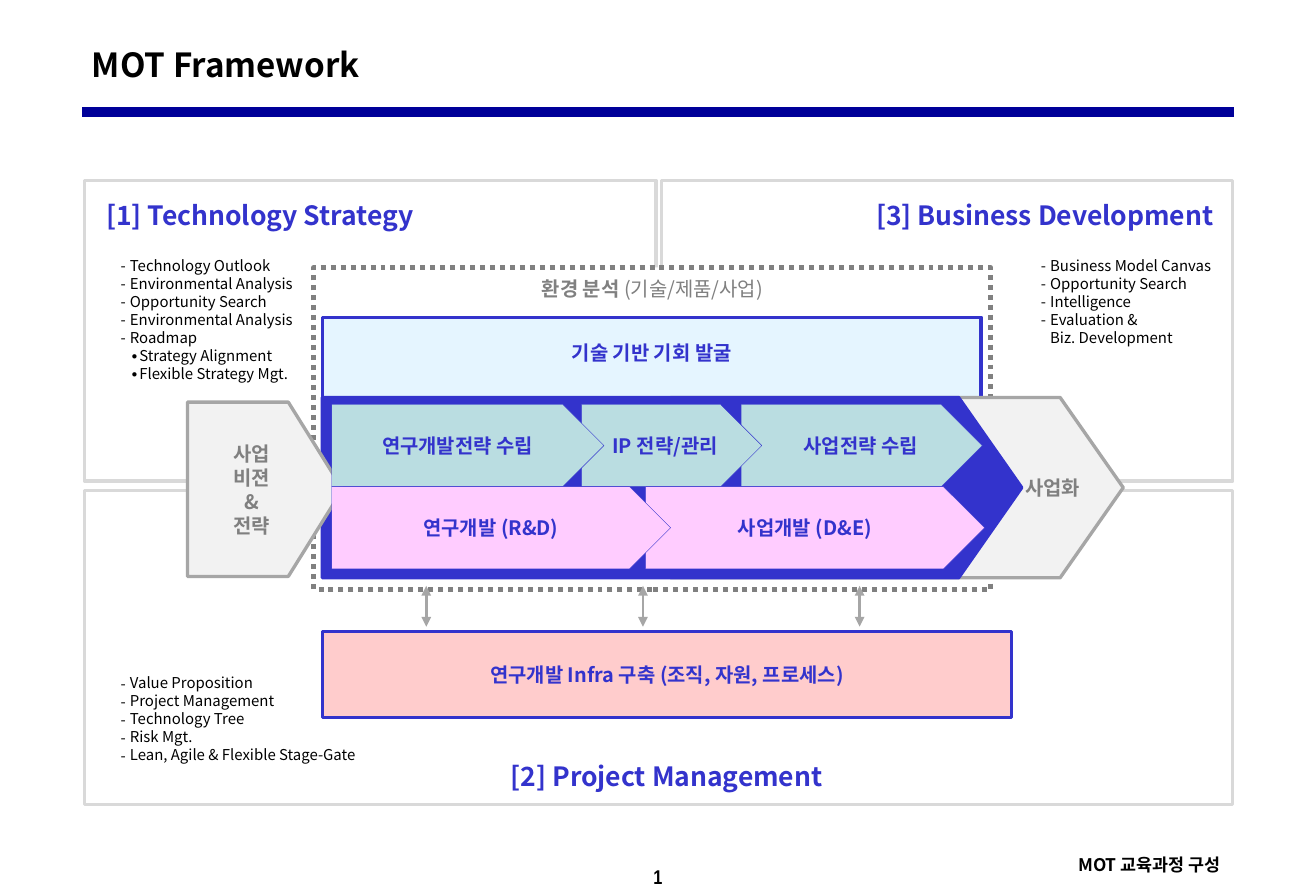
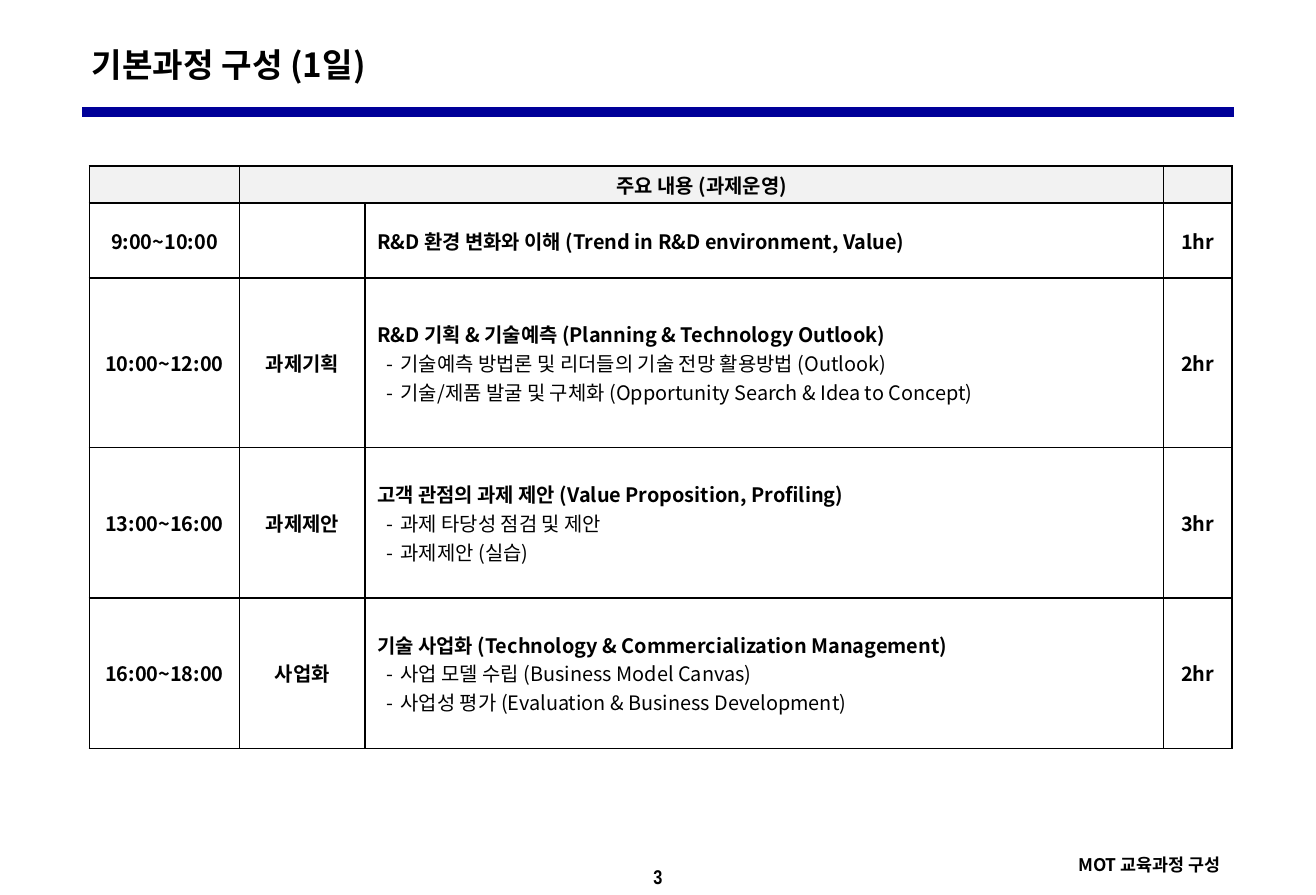
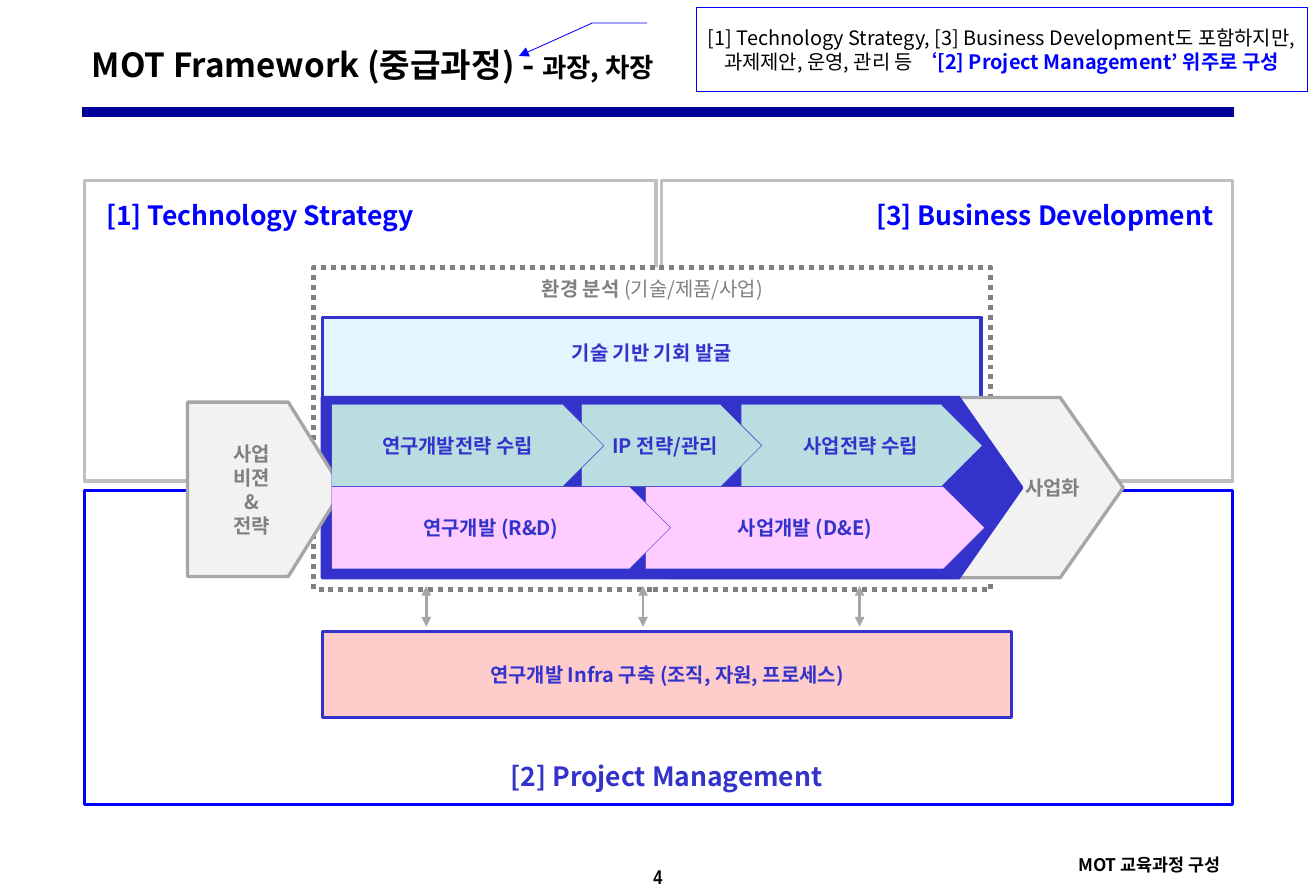
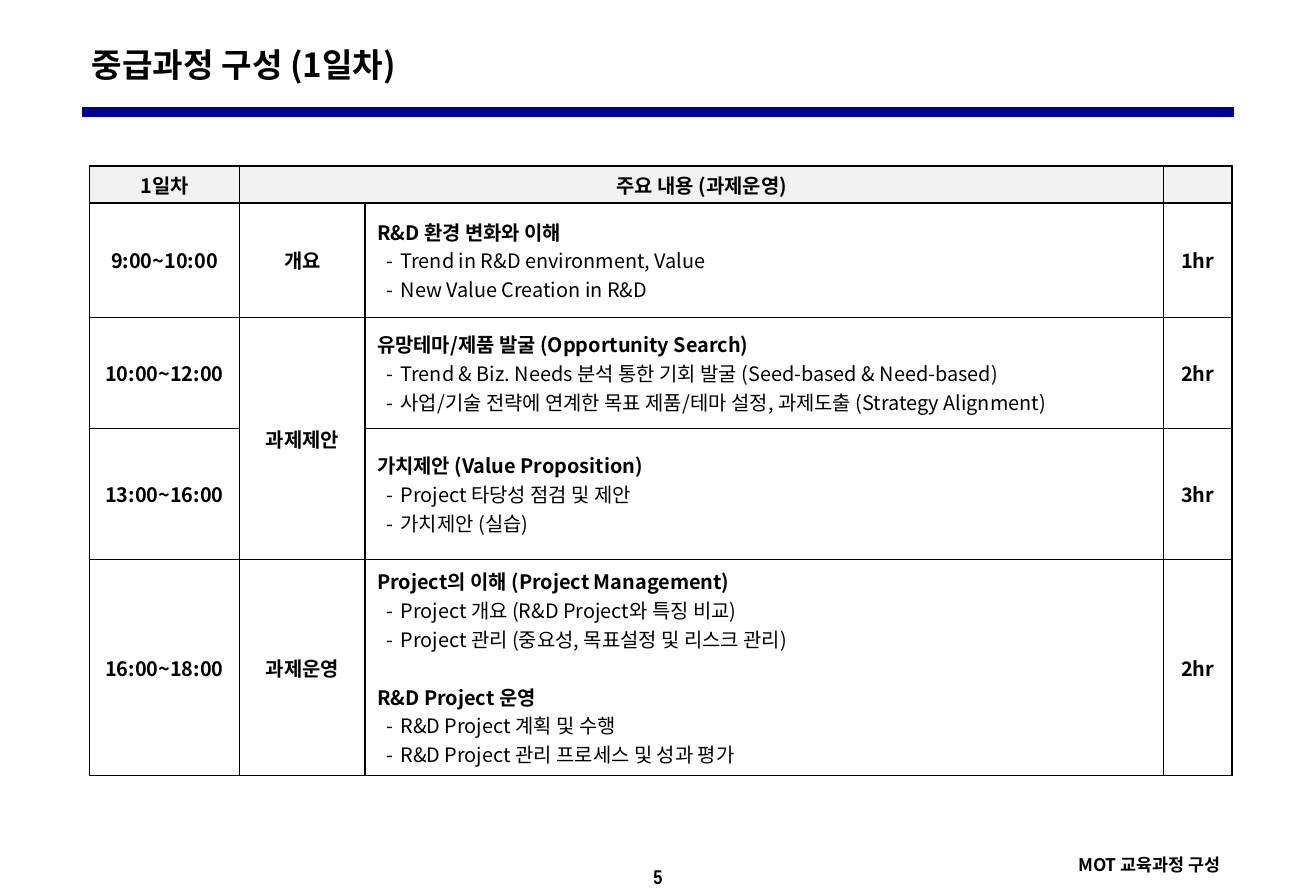
import dataclasses

import lxml.etree
import pptx
import pptx.dml.color
import pptx.enum.dml
import pptx.enum.shapes
import pptx.enum.text
import pptx.oxml.ns
import pptx.util

Cm, Pt = pptx.util.Cm, pptx.util.Pt
RGB = pptx.dml.color.RGBColor.from_string
SHAPE = pptx.enum.shapes.MSO_SHAPE
LINE = pptx.enum.shapes.MSO_CONNECTOR.STRAIGHT
ALIGN = pptx.enum.text.PP_ALIGN
ANCHOR = pptx.enum.text.MSO_ANCHOR
qn = pptx.oxml.ns.qn
SubElement = lxml.etree.SubElement


@dataclasses.dataclass(frozen=True)
class Theme:
    font: str = "Noto Sans CJK KR"
    number_font: str = "Arial Narrow"
    title_size: float = 20
    heading_size: float = 16
    text_size: float = 12
    footer_size: float = 10.5
    list_size: float = 9
    black: str = "000000"
    white: str = "FFFFFF"
    band: str = "000099"
    blue: str = "3333CC"
    focus: str = "0000FF"
    gray_text: str = "808080"
    gray_line: str = "A6A6A6"
    gray_fill: str = "F2F2F2"
    sky: str = "CCECFF"
    teal: str = "BADDE1"
    pink: str = "FFCCFF"
    rose: str = "FFCCCC"


theme = Theme()


def write(frame, lines, size, color=theme.black, bold=False, align=ALIGN.LEFT,
          spacing=1.0, font=theme.font):
    """Fill a text frame; a line given as a tuple becomes several runs."""
    frame.word_wrap = True
    for index, line in enumerate(lines):
        paragraph = frame.add_paragraph() if index else frame.paragraphs[0]
        pieces = (line,) if isinstance(line, str) else line
        paragraph.text = pieces[0]
        for piece in pieces[1:]:
            paragraph.add_run().text = piece
        paragraph.alignment = align
        paragraph.line_spacing = spacing
        paragraph.space_before = Pt(0)
        for run in paragraph.runs:
            run.font.size = Pt(size)
            run.font.bold = bold
            run.font.color.rgb = RGB(color)
            run.font.name = font
            SubElement(run.font._element, qn("a:ea"), typeface=font)
        if not paragraph.runs:
            SubElement(paragraph._p, qn("a:endParaRPr"), sz=str(size * 100))


def add_bullet(paragraph, char, left, hang):
    properties = paragraph._p.get_or_add_pPr()
    properties.set("marL", str(Cm(left)))
    properties.set("indent", str(-Cm(hang)))
    SubElement(properties, qn("a:buFont"), typeface=theme.font)
    SubElement(properties, qn("a:buChar"), char=char)


presentation = pptx.Presentation()
presentation.slide_width, presentation.slide_height = Cm(28), Cm(19.05)
COMPARISON, TITLE_ONLY = 4, 5

# Slides with title and page number
pages = [
    (1, ("MOT Framework",), COMPARISON),
    (3, ("기본과정 구성 (1일)",), TITLE_ONLY),
    (4, ("MOT Framework (중급과정) - ", "과장, 차장"), TITLE_ONLY),
    (5, ("중급과정 구성 (1일차)",), TITLE_ONLY),
]
slides = {}
for number, title_line, layout in pages:
    slide = presentation.slides.add_slide(presentation.slide_layouts[layout])
    slides[number] = slide
    title = slide.shapes.title
    title.left, title.top, title.width, title.height = Cm(1.7), Cm(0.81), Cm(25.6), Cm(1.12)
    title.text_frame.auto_size = pptx.enum.text.MSO_AUTO_SIZE.NONE
    title.text_frame.vertical_anchor = ANCHOR.TOP
    write(title.text_frame, [title_line], theme.title_size, bold=True)
    for run in title.text_frame.paragraphs[0].runs[1:]:
        run.font.size = Pt(theme.heading_size)
    page_number = slide.shapes.add_textbox(Cm(0), Cm(18.08), Cm(28), Cm(0.97))
    write(page_number.text_frame, [str(number)], theme.text_size, bold=True,
          align=ALIGN.CENTER, spacing=1.4, font=theme.number_font)

# Band and footer, moved to the master so that every slide shows them
opening = slides[1].shapes
band = opening.add_connector(LINE, Cm(1.75), Cm(2.39), Cm(26.26), Cm(2.39))
band.line.color.rgb = RGB(theme.band)
band.line.width = Pt(6)
SubElement(band.element.spPr, qn("a:effectLst"))
footer = opening.add_textbox(Cm(17.78), Cm(18.06), Cm(8.43), Cm(0.71))
write(footer.text_frame, ["MOT 교육과정 구성"], theme.footer_size, bold=True, align=ALIGN.RIGHT)
for part in (band, footer):
    presentation.slide_master.shapes.element.append(part.element)

# Framework diagram: preset, box, fill, line, line width, text colour, lines
RECT, PLATE = SHAPE.RECTANGLE, SHAPE.PENTAGON
gray = (theme.gray_fill, theme.gray_line, 2, theme.gray_text)
teal = (theme.teal, theme.blue, 0.25, theme.blue)
pink = (theme.pink, theme.blue, 0.25, theme.blue)
ENVIRONMENT, OPPORTUNITY, BUSINESS = "환경 분석 ", "기술 기반 기회 발굴", "사업화"
diagram = [
    (RECT, (6.68, 5.69, 14.4, 6.86), theme.white, theme.gray_text, 3, theme.gray_text,
     [(ENVIRONMENT, "(기술/제품/사업)")]),
    (RECT, (6.86, 6.76, 14.02, 2.36), theme.sky, theme.blue, 2.25, theme.blue, [OPPORTUNITY]),
    (PLATE, (14.27, 8.46, 9.63, 3.84), *gray, [BUSINESS]),
    (RECT, (6.86, 13.44, 14.66, 1.83), theme.rose, theme.blue, 2, theme.blue,
     ["연구개발 Infra 구축 (조직, 자원, 프로세스)"]),
    (PLATE, (6.86, 8.46, 14.88, 3.84), theme.blue, theme.blue, 2, theme.blue, []),
    (PLATE, (3.99, 8.56, 3.3, 3.71), *gray, ["사업", "비젼", "&", "전략"]),
    (PLATE, (15.77, 8.61, 5.13, 1.75), *teal, ["사업전략 수립"]),
    (PLATE, (12.37, 8.61, 3.84, 1.75), *teal, ["IP 전략/관리"]),
    (PLATE, (7.06, 8.61, 5.79, 1.75), *teal, ["연구개발전략 수립"]),
    (PLATE, (13.74, 10.36, 7.21, 1.75), *pink, ["사업개발 (D&E)"]),
    (PLATE, (7.06, 10.36, 7.21, 1.75), *pink, ["연구개발 (R&D)"]),
]
text_shift = {"사업전략 수립": 0.2, "IP 전략/관리": 0.08}
top_inset = {ENVIRONMENT: 0.2, OPPORTUNITY: 0.5}

# Areas: frame box, heading box, heading
areas = [
    ((1.8, 10.44, 24.43, 6.68), (10.62, 16.05, 7.8, 0.94), "[2] Project Management"),
    ((14.07, 3.84, 12.16, 6.4), (18.39, 4.11, 8.1, 0.94), "[3] Business Development"),
    ((1.8, 3.84, 12.16, 6.4), (2.01, 4.11, 7.4, 0.94), "[1] Technology Strategy"),
]
# Slide: colours of the upper frames, lower frame, upper headings
area_colors = {
    1: ("D9D9D9", "D9D9D9", theme.blue),
    4: ("BFBFBF", theme.focus, theme.focus),
}

for number, (upper_line, lower_line, upper_heading) in area_colors.items():
    shapes = slides[number].shapes

    # Area frames, then headings
    for index, (frame_box, _, _) in enumerate(areas):
        area = shapes.add_shape(RECT, *map(Cm, frame_box))
        area.shadow.inherit = False
        area.fill.solid()
        area.fill.fore_color.rgb = RGB(theme.white)
        area.line.color.rgb = RGB(upper_line if index else lower_line)
        area.line.width = Pt(2)
    for index, (_, heading_box, heading_text) in enumerate(areas):
        heading = shapes.add_textbox(*map(Cm, heading_box))
        write(heading.text_frame, [heading_text], theme.heading_size,
              upper_heading if index else theme.blue, bold=True)

    # Process blocks
    for preset, box, fill, line, width, color, lines in diagram:
        block = shapes.add_shape(preset, *map(Cm, box))
        block.shadow.inherit = False
        block.fill.solid()
        block.fill.fore_color.rgb = RGB(fill)
        block.line.color.rgb = RGB(line)
        block.line.width = Pt(width)
        if preset == PLATE and width == 2:
            block.adjustments[0] = 0.35
        if fill == theme.sky:
            sky_color = block.element.spPr.find(qn("a:solidFill"))[0]
            SubElement(sky_color, qn("a:alpha"), val="50000")
        if not lines:
            continue
        label = block.text_frame
        name = lines[0] if isinstance(lines[0], str) else lines[0][0]
        shift = text_shift.get(name, 0)
        label.margin_left, label.margin_right = Cm(0.25 + shift), Cm(0.25 - shift)
        label.vertical_anchor = ANCHOR.MIDDLE
        if name in top_inset:
            label.vertical_anchor = ANCHOR.TOP
            label.margin_top = Cm(top_inset[name])
        write(label, lines, theme.text_size, color, bold=True,
              align=ALIGN.RIGHT if name == BUSINESS else ALIGN.CENTER)
        if name == ENVIRONMENT:
            block.line.dash_style = pptx.enum.dml.MSO_LINE.ROUND_DOT
            label.paragraphs[0].runs[1].font.bold = False

    # Two-way arrows between process and infrastructure
    for index in range(3):
        x = Cm(9.07 + 4.61 * index)
        arrow = shapes.add_connector(LINE, x, Cm(12.47), x, Cm(13.34))
        arrow.line.color.rgb = RGB(theme.gray_line)
        arrow.line.width = Pt(1.5)
        for end in ("a:headEnd", "a:tailEnd"):
            SubElement(arrow.line._get_or_add_ln(), qn(end), type="triangle")
        SubElement(arrow.element.spPr, qn("a:effectLst"))

# Topic lists of the first slide: placeholder, box, (level, text)
topic_lists = [
    (1, (2.31, 5.33, 4.5, 2.95), [
        (0, "Technology Outlook"), (0, "Environmental Analysis"), (0, "Opportunity Search"),
        (0, "Environmental Analysis"), (0, "Roadmap"),
        (1, "Strategy Alignment"), (1, "Flexible Strategy Mgt.")]),
    (2, (2.31, 14.22, 6.83, 2.18), [
        (0, "Value Proposition"), (0, "Project Management"), (0, "Technology Tree"),
        (0, "Risk Mgt."), (0, "Lean, Agile & Flexible Stage-Gate")]),
    (3, (21.89, 5.33, 4.5, 2.18), [
        (0, "Business Model Canvas"), (0, "Opportunity Search"), (0, "Intelligence"),
        (0, "Evaluation &\vBiz. Development")]),
]
list_places = {place.placeholder_format.idx: place for place in slides[1].placeholders}
for index, box, topics in topic_lists:
    topic_list = list_places[index]
    topic_list.left, topic_list.top, topic_list.width, topic_list.height = map(Cm, box)
    topic_list.text_frame.auto_size = pptx.enum.text.MSO_AUTO_SIZE.NONE
    topic_list.text_frame.vertical_anchor = ANCHOR.TOP
    write(topic_list.text_frame, [text for _, text in topics], theme.list_size)
    for paragraph, (level, _) in zip(topic_list.text_frame.paragraphs, topics):
        add_bullet(paragraph, "-∙"[level], 0.2 * (level + 1), 0.2)
    opening.element.append(topic_list.element)  # in front of the frames
opening.element.remove(list_places[4].element)

# Callout on the intermediate course
callout = slides[4].shapes.add_shape(SHAPE.LINE_CALLOUT_2, Cm(14.81), Cm(0.15), Cm(13), Cm(1.8))
for index, value in enumerate((0.19, -0.08, 0.19, -0.17, 0.58, -0.29)):
    callout.adjustments[index] = value
callout.shadow.inherit = False
callout.fill.solid()
callout.fill.fore_color.rgb = RGB(theme.white)
callout.line.color.rgb = RGB(theme.focus)
callout.line.width = Pt(0.5)
SubElement(callout.line._get_or_add_ln(), qn("a:tailEnd"), type="triangle")
callout.text_frame.vertical_anchor = ANCHOR.MIDDLE
write(callout.text_frame, [
    "[1] Technology Strategy, [3] Business Development도 포함하지만,",
    ("과제제안, 운영, 관리 등 ", "‘[2] Project Management’ 위주로 구성"),
], theme.text_size, align=ALIGN.CENTER)
for paragraph in callout.text_frame.paragraphs:  # keep commas inside the box
    paragraph._p.get_or_add_pPr().set("hangingPunct", "0")
emphasis = callout.text_frame.paragraphs[1].runs[1]
emphasis.font.bold = True
emphasis.font.color.rgb = RGB(theme.focus)

# Timetables: day, then height, time, phase (None joins the one above), topics, hours
header_height = 0.79
column_widths = (3.2, 2.67, 16.99, 1.45)
timetables = {
    3: ("", [
        (1.6, "9:00~10:00", "", [
            ("R&D 환경 변화와 이해 (Trend in R&D environment, Value)", [])], "1hr"),
        (3.61, "10:00~12:00", "과제기획", [
            ("R&D 기획 & 기술예측 (Planning & Technology Outlook)", [
                "기술예측 방법론 및 리더들의 기술 전망 활용방법 (Outlook)",
                "기술/제품 발굴 및 구체화 (Opportunity Search & Idea to Concept)"])], "2hr"),
        (3.2, "13:00~16:00", "과제제안", [
            ("고객 관점의 과제 제안 (Value Proposition, Profiling)", [
                "과제 타당성 점검 및 제안", "과제제안 (실습)"])], "3hr"),
        (3.2, "16:00~18:00", "사업화", [
            ("기술 사업화 (Technology & Commercialization Management)", [
                "사업 모델 수립 (Business Model Canvas)",
                "사업성 평가 (Evaluation & Business Development)"])], "2hr"),
    ]),
    5: ("1일차", [
        (2.44, "9:00~10:00", "개요", [
            ("R&D 환경 변화와 이해", [
                "Trend in R&D environment, Value", "New Value Creation in R&D"])], "1hr"),
        (2.36, "10:00~12:00", "과제제안", [
            ("유망테마/제품 발굴 (Opportunity Search)", [
                "Trend & Biz. Needs 분석 통한 기회 발굴 (Seed-based & Need-based)",
                "사업/기술 전략에 연계한 목표 제품/테마 설정, 과제도출 (Strategy Alignment)"])],
         "2hr"),
        (2.79, "13:00~16:00", None, [
            ("가치제안 (Value Proposition)", [
                "Project 타당성 점검 및 제안", "가치제안 (실습)"])], "3hr"),
        (4.6, "16:00~18:00", "과제운영", [
            ("Project의 이해 (Project Management)", [
                "Project 개요 (R&D Project와 특징 비교)",
                "Project 관리 (중요성, 목표설정 및 리스크 관리)"]),
            ("R&D Project 운영", [
                "R&D Project 계획 및 수행",
                "R&D Project 관리 프로세스 및 성과 평가"])], "2hr"),
    ]),
}
for number, (day, sessions) in timetables.items():
    heights = [header_height] + [session[0] for session in sessions]
    timetable = slides[number].shapes.add_table(
        len(heights), len(column_widths), Cm(1.9), Cm(3.53),
        Cm(sum(column_widths)), Cm(sum(heights))).table
    timetable.first_row = timetable.horz_banding = False
    for column, width in zip(timetable.columns, column_widths):
        column.width = Cm(width)
    for row, height in zip(timetable.rows, heights):
        row.height = Cm(height)

    # Borders, fills and margins
    for row_index, row in enumerate(timetable.rows):
        for cell in row.cells:
            cell.vertical_anchor = ANCHOR.MIDDLE
            cell.margin_top = cell.margin_bottom = Cm(0.1)
            for side in ("a:lnL", "a:lnR", "a:lnT", "a:lnB"):
                border = SubElement(cell._tc.get_or_add_tcPr(), qn(side), w=str(Pt(1)))
                border_fill = SubElement(border, qn("a:solidFill"))
                SubElement(border_fill, qn("a:srgbClr"), val=theme.black)
            if row_index:
                cell.fill.background()
            else:
                cell.fill.solid()
                cell.fill.fore_color.rgb = RGB(theme.gray_fill)

    # Centred texts
    timetable.cell(0, 1).merge(timetable.cell(0, 2))
    centred = {(0, 0): day, (0, 1): "주요 내용 (과제운영)", (0, 3): ""}
    for row_index, (_, time, phase, _, hours) in enumerate(sessions, start=1):
        centred[row_index, 0] = time
        centred[row_index, 3] = hours
        if phase is None:
            timetable.cell(row_index - 1, 1).merge(timetable.cell(row_index, 1))
        else:
            centred[row_index, 1] = phase
    for position, text in centred.items():
        write(timetable.cell(*position).text_frame, [text], theme.text_size,
              bold=True, align=ALIGN.CENTER)

    # Topics with their dashed details
    for row_index, session in enumerate(sessions, start=1):
        entries = []
        for topic, details in session[3]:
            entries += [(topic, True)] + [(detail, False) for detail in details]
        content = timetable.cell(row_index, 2).text_frame
        write(content, [text for text, _ in entries], theme.text_size)
        for index, (paragraph, (_, is_topic)) in enumerate(zip(content.paragraphs, entries)):
            if is_topic:
                paragraph.runs[0].font.bold = True
                paragraph.space_before = Pt(17.4 if index else 0)
            else:
                add_bullet(paragraph, "-", 0.5, 0.3)

presentation.save("out.pptx")
